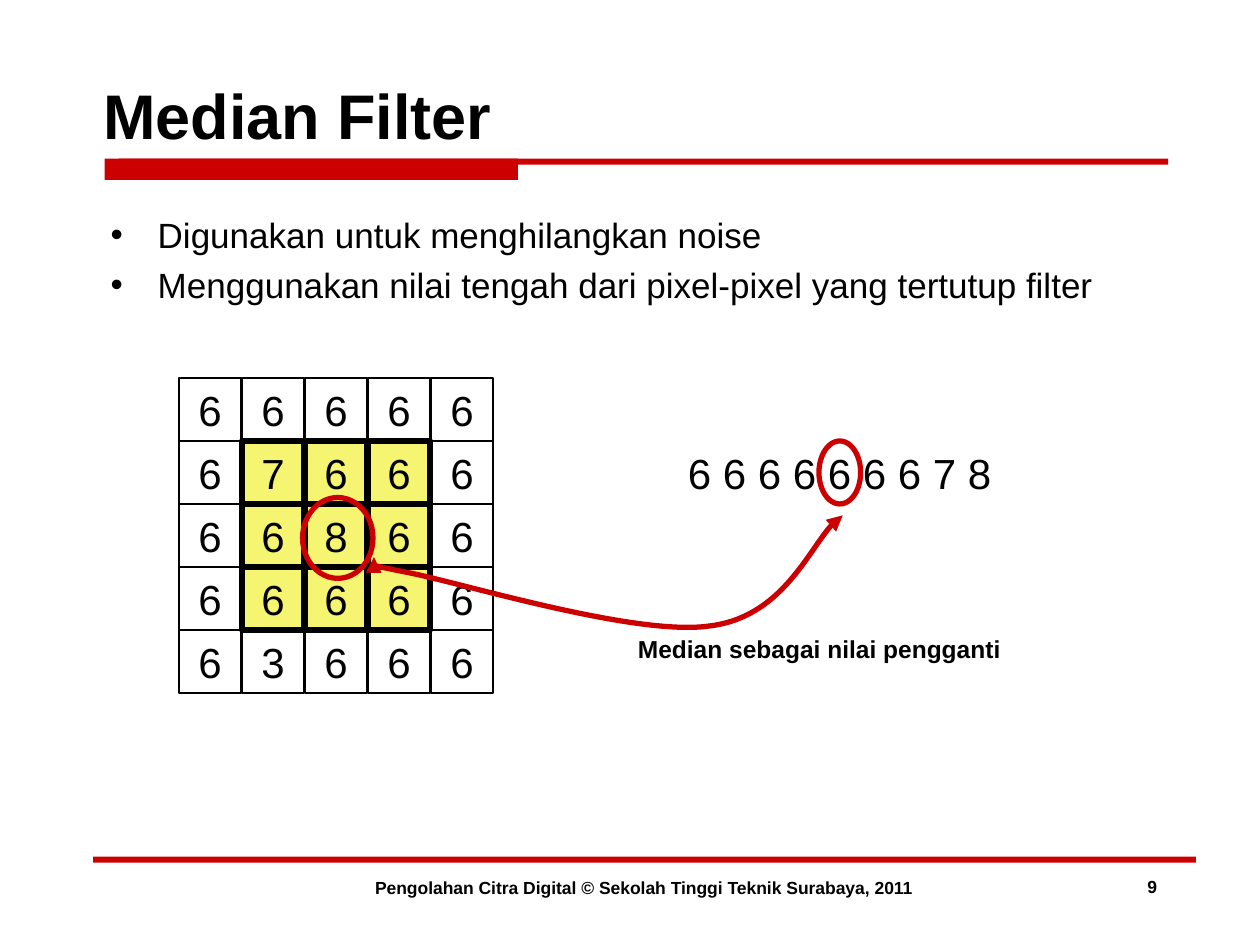
from lxml import etree
from pptx import Presentation
from pptx.dml.color import RGBColor
from pptx.enum.shapes import MSO_SHAPE
from pptx.enum.text import MSO_ANCHOR, PP_ALIGN
from pptx.oxml.ns import qn
from pptx.util import Cm, Pt

RECTANGLE = MSO_SHAPE.RECTANGLE
OVAL = MSO_SHAPE.OVAL
TOP = MSO_ANCHOR.TOP
MIDDLE = MSO_ANCHOR.MIDDLE
LEFT = PP_ALIGN.LEFT
CENTER = PP_ALIGN.CENTER

BLACK = RGBColor(0x00, 0x00, 0x00)
WHITE = RGBColor(0xFF, 0xFF, 0xFF)
RED = RGBColor(0xCC, 0x00, 0x00)
YELLOW = RGBColor(0xF5, 0xF5, 0x71)

FONT = "Arial"
PIXELS = ["66666", "67666", "66866", "66666", "63666"]
FILTER_SPAN = range(1, 4)
GRID_LEFT, GRID_TOP, CELL_PITCH, CELL_WIDTH = 3.61, 7.62, 1.27, 1.25
BULLETS = [
    "Digunakan untuk menghilangkan noise",
    "Menggunakan nilai tengah dari pixel-pixel yang tertutup filter",
]
ARROW_POINTS = [
    (7.54, 11.23),
    (7.37, 11.28), (7.16, 11.33), (8.31, 11.56),
    (9.42, 11.79), (12.85, 12.83), (14.3, 12.62),
    (15.75, 12.45), (16.51, 10.64), (16.99, 10.39),
]


def write(paragraph, text, size, bold=False, align=LEFT):
    paragraph.alignment = align
    run = paragraph.add_run()
    run.text = text
    run.font.name = FONT
    run.font.size = Pt(size)
    run.font.bold = bold
    run.font.color.rgb = BLACK


def add_text(slide, box, text, size, bold=False, align=CENTER, anchor=TOP):
    shape = slide.shapes.add_textbox(*map(Cm, box))
    frame = shape.text_frame
    frame.word_wrap = True
    frame.vertical_anchor = anchor
    write(frame.paragraphs[0], text, size, bold, align)


def add_shape(slide, kind, box, fill=None, line=None, width=3):
    shape = slide.shapes.add_shape(kind, *map(Cm, box))
    style(shape, fill, line, width)
    return shape


def style(shape, fill, line, width):
    shape.shadow.inherit = False
    if fill is None:
        shape.fill.background()
    else:
        shape.fill.solid()
        shape.fill.fore_color.rgb = fill
    if line is None:
        shape.line.fill.background()
    else:
        shape.line.color.rgb = line
        shape.line.width = Pt(width)


def add_bullets(slide, box):
    frame = add_shape(slide, RECTANGLE, box, fill=WHITE).text_frame
    frame.word_wrap = True
    frame.vertical_anchor = TOP
    for index, text in enumerate(BULLETS):
        paragraph = frame.add_paragraph() if index else frame.paragraphs[0]
        if index:
            paragraph.space_before = Pt(5)
        properties = paragraph._p.get_or_add_pPr()
        properties.set("marL", str(Cm(0.95)))
        properties.set("indent", str(Cm(-0.95)))
        etree.SubElement(properties, qn("a:buFont"), typeface=FONT)
        etree.SubElement(properties, qn("a:buChar"), char="•")
        write(paragraph, text, 20)


def add_pixel_grid(slide):
    for row, values in enumerate(PIXELS):
        for column, value in enumerate(values):
            covered = row in FILTER_SPAN and column in FILTER_SPAN
            box = (GRID_LEFT + column * CELL_PITCH, GRID_TOP + row * CELL_PITCH,
                   CELL_WIDTH, CELL_PITCH)
            cell = add_shape(slide, RECTANGLE, box, YELLOW if covered else None,
                             BLACK, 3 if covered else 0.75)
            cell.text_frame.vertical_anchor = TOP
            write(cell.text_frame.paragraphs[0], value, 24, align=CENTER)


def add_curved_arrow(slide, points):
    start, *others = [(Cm(x), Cm(y)) for x, y in points]
    builder = slide.shapes.build_freeform(*start)
    builder.add_line_segments(others, close=False)
    shape = builder.convert_to_shape()
    style(shape, None, RED, 3)
    segments = list(shape._element.iter(qn("a:lnTo")))
    for first in range(0, len(segments), 3):
        curve = etree.Element(qn("a:cubicBezTo"))
        segments[first].addprevious(curve)
        for segment in segments[first:first + 3]:
            curve.append(segment[0])
            segment.getparent().remove(segment)
    line = shape.line._get_or_add_ln()
    for end in ("a:headEnd", "a:tailEnd"):
        etree.SubElement(line, qn(end), type="triangle")


def main():
    presentation = Presentation()
    presentation.slide_width = Cm(25.4)
    presentation.slide_height = Cm(19.05)
    slide = presentation.slides.add_slide(presentation.slide_layouts[6])

    add_text(slide, (1.83, 1.14, 21.59, 2.34), "Median Filter", 36, True, LEFT, MIDDLE)
    for bar in ((2.39, 3.2, 21.16, 0.12), (2.11, 3.2, 8.33, 0.43),
                (1.88, 17.27, 22.23, 0.12)):
        add_shape(slide, RECTANGLE, bar, fill=RED)
    add_text(slide, (4.67, 17.55, 16.61, 0.69),
             "Pengolahan Citra Digital © Sekolah Tinggi Teknik Surabaya, 2011", 10, True)
    add_text(slide, (22.58, 17.53, 1.3, 0.69), "9", 10, True)

    add_bullets(slide, (1.98, 4.17, 22.43, 2.41))
    add_pixel_grid(slide)
    add_text(slide, (11.43, 8.89, 11, 1.27), "6 6 6 6 6 6 6 7 8", 24)
    for ring in ((16.51, 8.89, 0.84, 1.27), (6.1, 10.03, 1.42, 1.63)):
        add_shape(slide, OVAL, ring, line=RED)
    add_curved_arrow(slide, ARROW_POINTS)
    add_text(slide, (11.02, 12.65, 11, 0.86), "Median sebagai nilai pengganti", 14, True)

    presentation.save("out.pptx")


if __name__ == "__main__":
    main()
